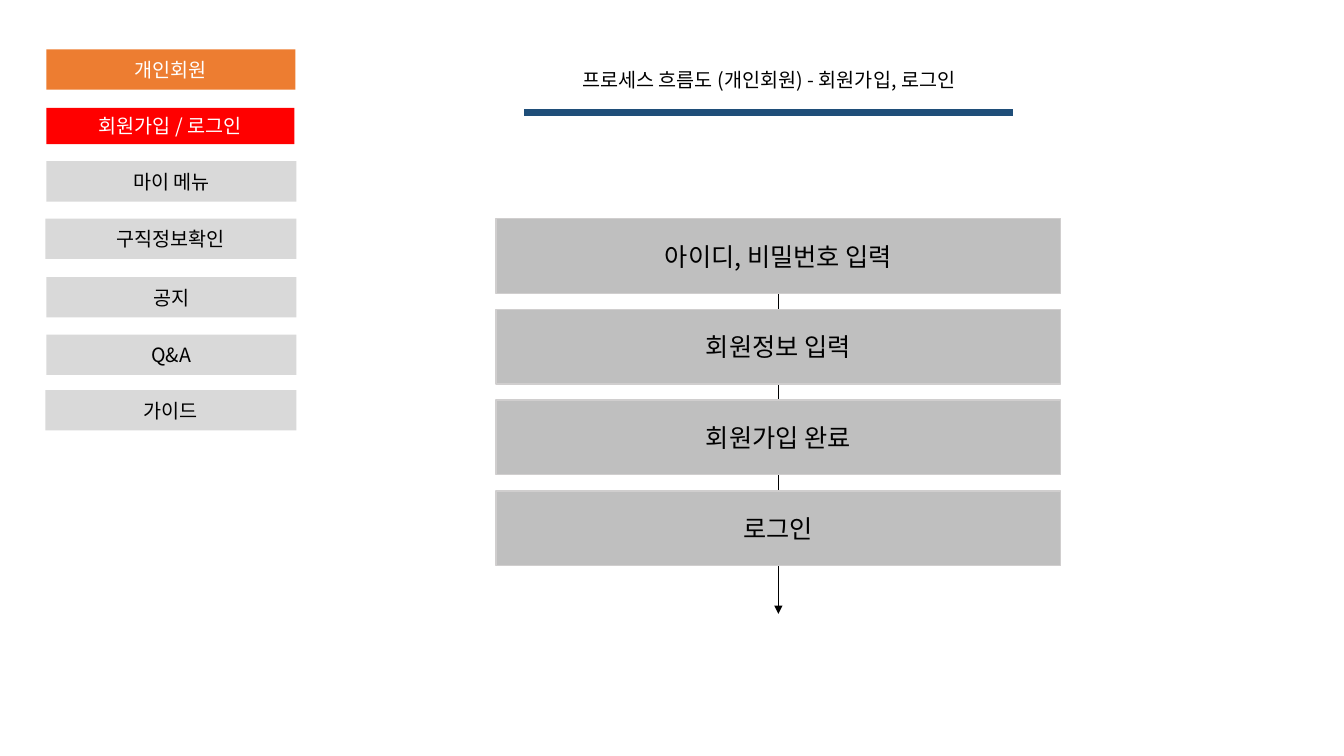
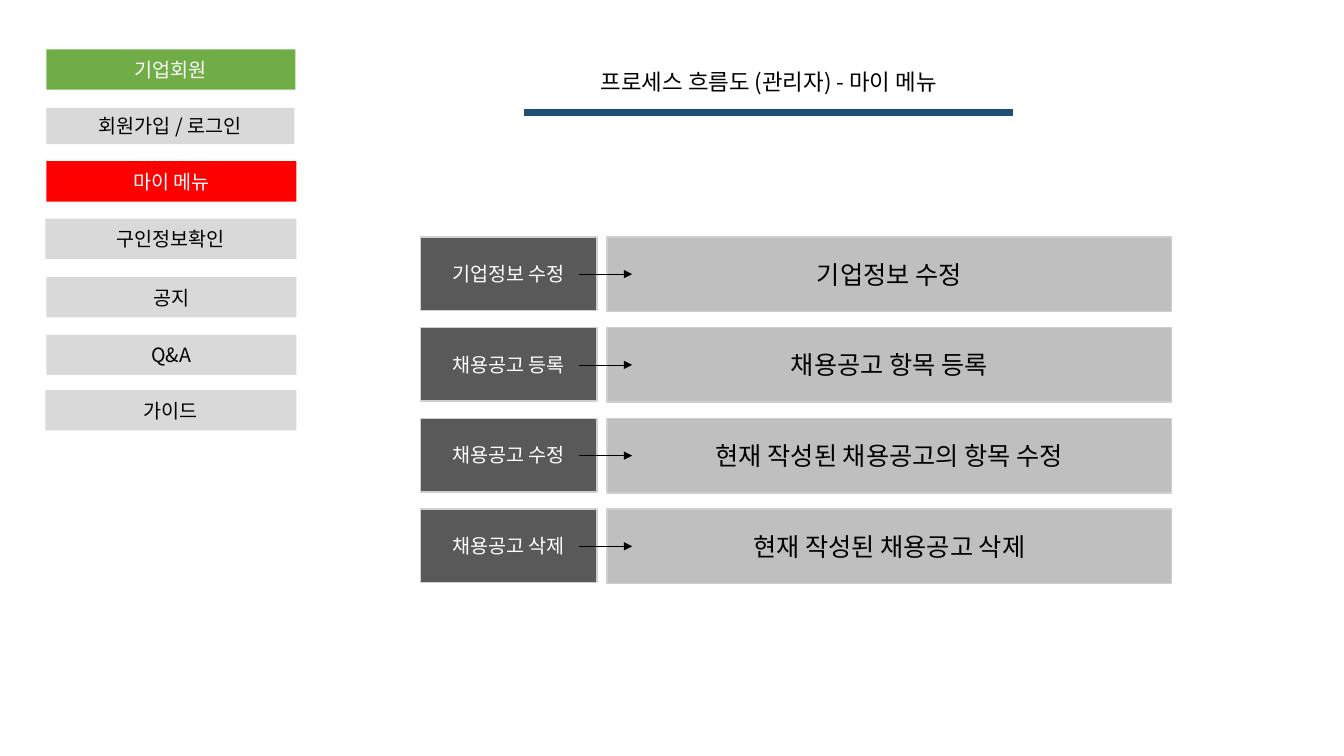
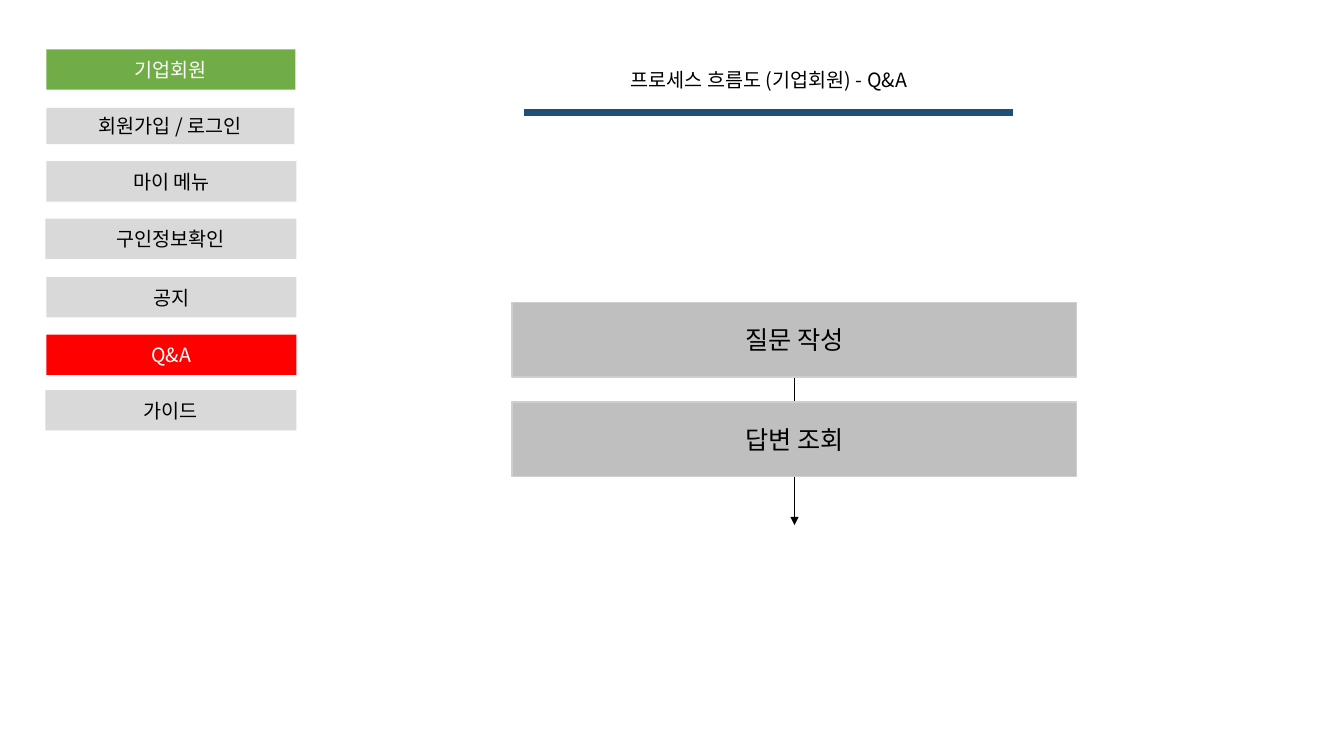
from typing import NamedTuple

from lxml import etree
from pptx import Presentation, util as u
from pptx.dml.color import RGBColor
from pptx.enum import shapes, text
from pptx.oxml.ns import qn

PX = 9144  # EMU per px, 100 px to the inch
FONT = "Noto Sans CJK KR"
COLOURS = {
    "black": "000000",
    "white": "FFFFFF",
    "personal": "ED7D31",
    "company": "70AD47",
    "current": "FF0000",
    "menu": "D9D9D9",
    "step": "BFBFBF",
    "label": "595959",
    "edge": "D0CECE",
    "rule": "1F4E79",
}


class Box(NamedTuple):
    left: int
    top: int
    width: int
    height: int


class BoxStyle(NamedTuple):
    fill: str
    ink: str
    size: int
    edge: str | None = None


class Page(NamedTuple):
    member: str
    member_style: BoxStyle
    menu: list[str]
    current: str
    title: str
    title_size: int = 14


class Task(NamedTuple):
    label: str
    detail: str


MENU = BoxStyle("menu", "black", 14)
CURRENT = BoxStyle("current", "white", 14)
PERSONAL = BoxStyle("personal", "white", 14)
COMPANY = BoxStyle("company", "white", 14)
STEP = BoxStyle("step", "black", 18, "edge")
LABEL = BoxStyle("label", "white", 14, "edge")

MEMBER_BOX = Box(46, 49, 247, 40)
MENU_BOXES = [
    Box(46, 107, 246, 36),
    Box(46, 160, 248, 40),
    Box(45, 217, 249, 40),
    Box(46, 275, 248, 40),
    Box(46, 332, 248, 40),
    Box(45, 387, 249, 40),
]
STEP_WIDTH, STEP_HEIGHT = 560, 74
ARROW_OVERHANG = 48
TASK_TOP, TASK_PITCH = 235, 90
LABEL_LEFT, LABEL_WIDTH, LABEL_HEIGHT = 417, 175, 73
DETAIL_LEFT = 602
TASK_ARROW = (574, 627)


def menu_for(job_info: str) -> list[str]:
    return ["회원가입 / 로그인", "마이 메뉴", job_info, "공지", "Q&A", "가이드"]


def rgb(name: str) -> RGBColor:
    return RGBColor.from_string(COLOURS[name])


def place(shape, box: Box) -> None:
    shape.left, shape.top, shape.width, shape.height = (n * PX for n in box)


def write(shape, words: str, size: int, ink: str) -> None:
    """Put one centred line in the shape, in the deck's Korean font."""
    frame = shape.text_frame
    frame.text = words
    frame.word_wrap = True
    frame.auto_size = text.MSO_AUTO_SIZE.NONE
    frame.vertical_anchor = text.MSO_ANCHOR.MIDDLE
    paragraph = frame.paragraphs[0]
    paragraph.alignment = text.PP_ALIGN.CENTER
    run = paragraph.runs[0]
    run.font.size = u.Pt(size)
    run.font.color.rgb = rgb(ink)
    run.font.name = FONT
    etree.SubElement(run._r.get_or_add_rPr(), qn("a:ea"), typeface=FONT)


def draw_box(slide, box: Box, words: str, style: BoxStyle) -> None:
    shape = slide.shapes.add_shape(
        shapes.MSO_SHAPE.RECTANGLE, *(n * PX for n in box))
    shape.shadow.inherit = False
    shape.fill.solid()
    shape.fill.fore_color.rgb = rgb(style.fill)
    if style.edge:
        shape.line.color.rgb = rgb(style.edge)
        shape.line.width = u.Pt(1)
    else:
        shape.line.fill.background()
    write(shape, words, style.size, style.ink)


def draw_line(slide, start: tuple[int, int], end: tuple[int, int],
              colour: str = "black", weight: float = 0.5,
              arrow: bool = True) -> None:
    line = slide.shapes.add_connector(
        shapes.MSO_CONNECTOR.STRAIGHT, *(n * PX for n in start + end))
    line.line.color.rgb = rgb(colour)
    line.line.width = u.Pt(weight)
    properties = line._element.spPr
    if arrow:
        etree.SubElement(properties.find(qn("a:ln")), qn("a:tailEnd"),
                         type="triangle")
    etree.SubElement(properties, qn("a:effectLst"))


def add_page(deck, page: Page):
    """Add a slide with its title, rule and side menu."""
    slide = deck.slides.add_slide(deck.slide_layouts[5])
    title = slide.shapes.title
    place(title, Box(520, 62, 485, 34 if page.title_size == 14 else 37))
    write(title, page.title, page.title_size, "black")
    draw_line(slide, (520, 112), (1005, 112), "rule", 5, arrow=False)
    draw_box(slide, MEMBER_BOX, page.member, page.member_style)
    for box, entry in zip(MENU_BOXES, page.menu):
        draw_box(slide, box, entry, CURRENT if entry == page.current else MENU)
    return slide


def draw_flow(slide, left: int, top: int, pitch: int,
              steps: list[str]) -> None:
    """Stack the steps over one downward arrow that runs behind them."""
    centre = left + STEP_WIDTH // 2
    bottom = top + pitch * (len(steps) - 1) + STEP_HEIGHT
    draw_line(slide, (centre, top), (centre, bottom + ARROW_OVERHANG))
    for row, step in enumerate(steps):
        box = Box(left, top + row * pitch, STEP_WIDTH, STEP_HEIGHT)
        draw_box(slide, box, step, STEP)


def draw_tasks(slide, tasks: list[Task]) -> None:
    for row, task in enumerate(tasks):
        top = TASK_TOP + row * TASK_PITCH
        middle = top + STEP_HEIGHT // 2
        draw_box(slide, Box(LABEL_LEFT, top, LABEL_WIDTH, LABEL_HEIGHT),
                 task.label, LABEL)
        draw_box(slide, Box(DETAIL_LEFT, top, STEP_WIDTH, STEP_HEIGHT),
                 task.detail, STEP)
        draw_line(slide, (TASK_ARROW[0], middle), (TASK_ARROW[1], middle))


def main() -> None:
    deck = Presentation()
    deck.slide_width, deck.slide_height = u.Inches(13.33), u.Inches(7.5)
    company_menu = menu_for("구인정보확인")

    sign_up = add_page(deck, Page(
        "개인회원", PERSONAL, menu_for("구직정보확인"), "회원가입 / 로그인",
        "프로세스 흐름도 (개인회원) - 회원가입, 로그인"))
    draw_flow(sign_up, 492, 217, 90, [
        "아이디, 비밀번호 입력", "회원정보 입력", "회원가입 완료", "로그인"])

    my_menu = add_page(deck, Page(
        "기업회원", COMPANY, company_menu, "마이 메뉴",
        "프로세스 흐름도 (관리자) - 마이 메뉴", 16))
    draw_tasks(my_menu, [
        Task("기업정보 수정", "기업정보 수정"),
        Task("채용공고 등록", "채용공고 항목 등록"),
        Task("채용공고 수정", "현재 작성된 채용공고의 항목 수정"),
        Task("채용공고 삭제", "현재 작성된 채용공고 삭제"),
    ])

    questions = add_page(deck, Page(
        "기업회원", COMPANY, company_menu, "Q&A",
        "프로세스 흐름도 (기업회원) - Q&A"))
    draw_flow(questions, 508, 300, 99, ["질문 작성", "답변 조회"])

    deck.save("out.pptx")


if __name__ == "__main__":
    main()
